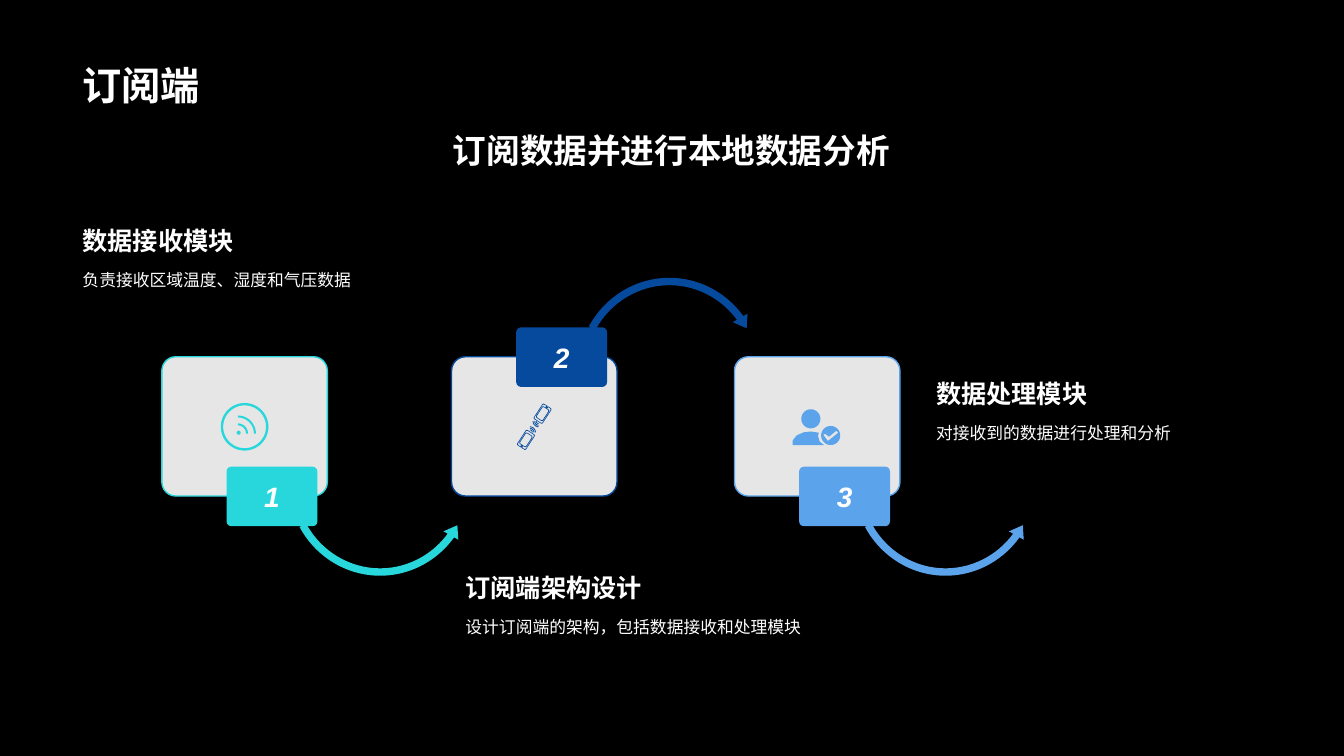
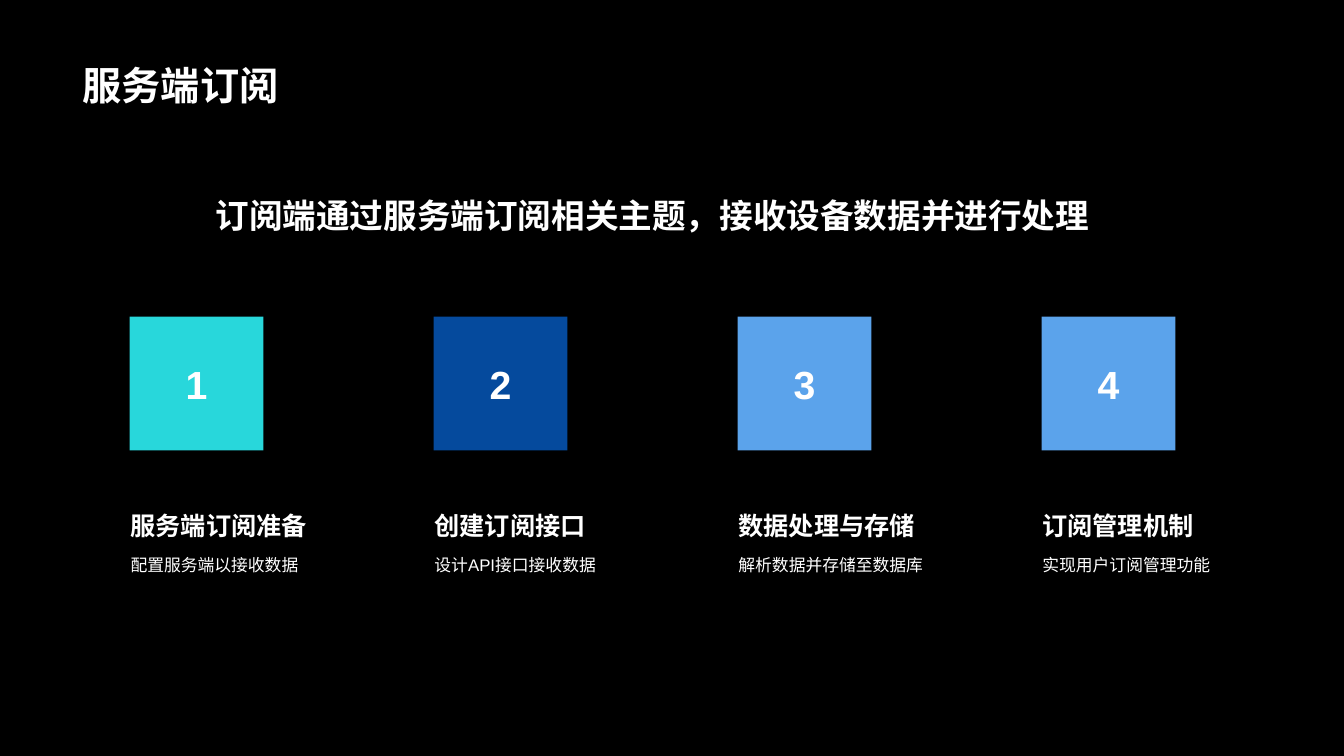
from math import cos, radians, sin

from lxml.etree import SubElement
from pptx import Presentation
from pptx.dml.color import RGBColor
from pptx.enum.shapes import MSO_SHAPE
from pptx.enum.text import MSO_ANCHOR, MSO_AUTO_SIZE, PP_ALIGN
from pptx.oxml.ns import qn
from pptx.util import Cm, Pt

BLACK = RGBColor(0x00, 0x00, 0x00)
WHITE = RGBColor(0xFF, 0xFF, 0xFF)
TEAL = RGBColor(0x28, 0xD7, 0xDB)
NAVY = RGBColor(0x05, 0x4A, 0x9D)
SKY = RGBColor(0x5B, 0xA3, 0xEB)
FONT = "Arial"

SUBSCRIBER_TITLE = "订阅端"
SUBSCRIBER_SUBTITLE = "订阅数据并进行本地数据分析"
# Lengths in cm; topic is left, split between heading and detail, width
MODULES = [
    dict(heading="数据接收模块", detail="负责接收区域温度、湿度和气压数据", color=TEAL,
         card_left=4.08, arrow_left=7.14, raised=False, topic=(1.83, 6.57, 9.5)),
    dict(heading="订阅端架构设计", detail="设计订阅端的架构，包括数据接收和处理模块", color=NAVY,
         card_left=11.38, arrow_left=14.43, raised=True, topic=(11.48, 15.32, 9.7)),
    dict(heading="数据处理模块", detail="对接收到的数据进行处理和分析", color=SKY,
         card_left=18.51, arrow_left=21.39, raised=False, topic=(23.34, 10.42, 8.66)),
]
SERVER_TITLE = "服务端订阅"
SERVER_SUBTITLE = "订阅端通过服务端订阅相关主题，接收设备数据并进行处理"
STEPS = [
    ("服务端订阅准备", "配置服务端以接收数据", TEAL),
    ("创建订阅接口", "设计API接口接收数据", NAVY),
    ("数据处理与存储", "解析数据并存储至数据库", SKY),
    ("订阅管理机制", "实现用户订阅管理功能", SKY),
]

CARD_TOP, CARD_WIDTH, CARD_HEIGHT = 8.99, 4.17, 3.51
ARROW_ADJUSTMENTS = (3.8 / 100, 4.71, 22.47, 90.25, 4.4 / 100)
USER_BODY = [(-0.62, 0.46), (-0.62, 0.35), (-0.52, 0.22), (-0.34, 0.14),
             (-0.16, 0.12), (0.04, 0.15), (0.02, 0.23), (0.06, 0.37), (0.17, 0.46)]
CHECK_MARK = [(0.48, 0.1), (0.3, 0.25), (0.2, 0.18), (0.15, 0.2), (0.27, 0.36),
              (0.53, 0.15)]


def write(shape, text, size, bold=True, italic=False, align=PP_ALIGN.LEFT,
          anchor=MSO_ANCHOR.TOP, spacing=1.0, wrap=True):
    frame = shape.text_frame
    frame.text = text
    frame.word_wrap = wrap
    frame.auto_size = MSO_AUTO_SIZE.NONE
    frame.vertical_anchor = anchor
    paragraph = frame.paragraphs[0]
    paragraph.alignment = align
    paragraph.line_spacing = spacing
    font = paragraph.runs[0].font
    font.name, font.size, font.bold, font.italic = FONT, Pt(size), bold, italic
    font.color.rgb = WHITE


def add_text(slide, box, text, size, **style):
    write(slide.shapes.add_textbox(*map(Cm, box)), text, size, **style)


def paint(shape, fill, line=None):
    shape.shadow.inherit = False
    shape.fill.solid()
    shape.fill.fore_color.rgb = fill
    if line is None:
        shape.line.fill.background()
    else:
        shape.line.color.rgb = line
        shape.line.width = Pt(1)


def add_preset(slide, preset, box, fill, line=None, adjustments=()):
    shape = slide.shapes.add_shape(preset, *map(Cm, box))
    paint(shape, fill, line)
    for index, value in enumerate(adjustments):
        shape.adjustments[index] = value
    return shape


def add_slide(prs, title, subtitle, subtitle_box, subtitle_anchor):
    slide = prs.slides.add_slide(prs.slide_layouts[5])
    heading = slide.shapes.title
    heading.left, heading.top, heading.width, heading.height = map(
        Cm, (1.83, 0.36, 30.18, 2.49))
    write(heading, title, 28, anchor=MSO_ANCHOR.BOTTOM)
    add_text(slide, subtitle_box, subtitle, 24, align=PP_ALIGN.CENTER,
             anchor=subtitle_anchor)
    return slide


def add_topic(slide, heading, detail, left, split, width):
    """Heading sits on the split line, detail hangs below it."""
    height = 1.7
    add_text(slide, (left, split - height, width, height), heading, 18,
             anchor=MSO_ANCHOR.BOTTOM)
    add_text(slide, (left, split, width, 2), detail, 12, bold=False, spacing=1.2)


def arc(x, y, radius, start=0, sweep=360):
    """Points on a circle, angles clockwise from the right."""
    steps = max(6, sweep // 8)
    angles = [radians(start + sweep * step / steps) for step in range(steps + 1)]
    return [(x + radius * cos(angle), y + radius * sin(angle)) for angle in angles]


def signal(x, y, radii, width, start):
    """Quarter-circle bands around one centre."""
    return [arc(x, y, radius + width / 2, start, 90)
            + arc(x, y, radius - width / 2, start, 90)[::-1] for radius in radii]


def tilted_panel(x, y, width, height, corner=0.04, tilt=33):
    """Outline of a rounded rectangle turned clockwise."""
    across, down = width / 2 - corner, height / 2 - corner
    corners = ((across, down), (-across, down), (-across, -down), (across, -down))
    turn_cos, turn_sin = cos(radians(tilt)), sin(radians(tilt))
    return [(x + px * turn_cos - py * turn_sin, y + px * turn_sin + py * turn_cos)
            for index, (cx, cy) in enumerate(corners)
            for px, py in arc(cx, cy, corner, 90 * index, 90)]


def feed_icon():
    return [arc(0, 0, 0.6), arc(0, 0, 0.54), arc(-0.15, 0.15, 0.05),
            *signal(-0.17, 0.17, (0.23, 0.43), 0.05, -90)]


def phones_icon():
    outlines = []
    for side, start in ((-1, -90), (1, 90)):
        for width, height in ((0.27, 0.46), (0.24, 0.43), (0.21, 0.34), (0.18, 0.31)):
            outlines.append(tilted_panel(side * 0.21, -side * 0.33, width, height))
        outlines.append(arc(side * 0.32, -side * 0.5, 0.03))
        outlines += signal(side * 0.11, -side * 0.14, (0.06, 0.1, 0.14), 0.02, start)
    return outlines


def user_icon():
    return [arc(-0.16, -0.2, 0.24), USER_BODY, arc(0.34, 0.22, 0.24), CHECK_MARK]


def add_icon(slide, outlines, x, y, color):
    placed = [[(Cm(x + dx), Cm(y + dy)) for dx, dy in outline] for outline in outlines]
    builder = slide.shapes.build_freeform(*placed[0][0])
    for index, (start, *rest) in enumerate(placed):
        if index:
            builder.move_to(*start)
        builder.add_line_segments(rest)
    paint(builder.convert_to_shape(), color)


def add_arrow(slide, module):
    top = 6.88 if module["raised"] else 9.63
    arrow = add_preset(slide, MSO_SHAPE.LEFT_CIRCULAR_ARROW,
                       (module["arrow_left"], top, 4.88, 5), module["color"],
                       adjustments=ARROW_ADJUSTMENTS)
    if module["raised"]:
        arrow.element.spPr.find(qn("a:xfrm")).set("flipV", "1")


def add_card(slide, number, module, icon):
    left, color = module["card_left"], module["color"]
    card = add_preset(slide, MSO_SHAPE.ROUNDED_RECTANGLE,
                      (left, CARD_TOP, CARD_WIDTH, CARD_HEIGHT), WHITE, color,
                      adjustments=(0.1,))
    white = card.element.spPr.find(qn("a:solidFill")).find(qn("a:srgbClr"))
    SubElement(white, qn("a:alpha")).set("val", "90000")
    badge_top = CARD_TOP + (-0.74 if module["raised"] else 2.77)
    badge = add_preset(slide, MSO_SHAPE.ROUNDED_RECTANGLE,
                       (left + 1.63, badge_top, 2.29, 1.5), color,
                       adjustments=(0.08,))
    write(badge, str(number), 20, italic=True, align=PP_ALIGN.CENTER,
          anchor=MSO_ANCHOR.MIDDLE, wrap=False)
    add_icon(slide, icon, left + CARD_WIDTH / 2, CARD_TOP + CARD_HEIGHT / 2 + 0.01,
             color)


def build_subscriber(prs):
    slide = add_slide(prs, SUBSCRIBER_TITLE, SUBSCRIBER_SUBTITLE,
                      (1.83, 3.15, 30.18, 2.08), MSO_ANCHOR.TOP)
    for module in MODULES:
        add_arrow(slide, module)
    icons = (feed_icon(), phones_icon(), user_icon())
    for number, (module, icon) in enumerate(zip(MODULES, icons), 1):
        add_card(slide, number, module, icon)
        add_topic(slide, module["heading"], module["detail"], *module["topic"])


def build_server(prs):
    slide = add_slide(prs, SERVER_TITLE, SERVER_SUBTITLE,
                      (1.35, 4.11, 30.18, 2.62), MSO_ANCHOR.MIDDLE)
    for index, (heading, detail, color) in enumerate(STEPS):
        left = 3.04 + 7.66 * index
        tile = add_preset(slide, MSO_SHAPE.RECTANGLE,
                          (left + 0.23, 7.98, 3.37, 3.37), color)
        write(tile, str(index + 1), 28, align=PP_ALIGN.CENTER,
              anchor=MSO_ANCHOR.MIDDLE, wrap=False)
        add_topic(slide, heading, detail, left, 13.75, 7.19)


def main():
    prs = Presentation()
    prs.slide_width, prs.slide_height = Cm(33.87), Cm(19.05)
    background = prs.slide_master.background.fill
    background.solid()
    background.fore_color.rgb = BLACK
    build_subscriber(prs)
    build_server(prs)
    prs.save("out.pptx")


if __name__ == "__main__":
    main()
